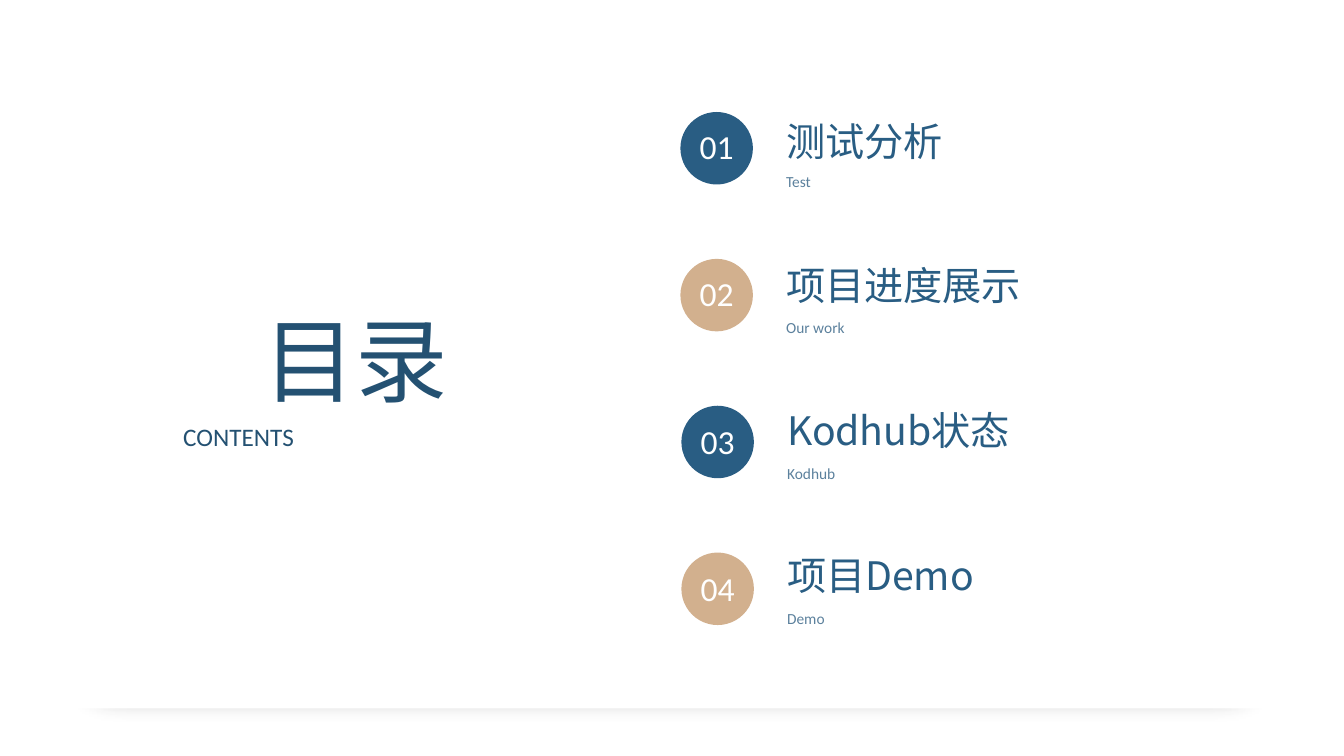
"""Build a contents slide with four numbered sections."""
from dataclasses import dataclass

from lxml import etree
from pptx import Presentation
from pptx import util as u
from pptx.dml.color import RGBColor
from pptx.enum import shapes, text
from pptx.oxml import ns
from pptx.shapes.autoshape import Shape
from pptx.slide import Slide

COLORS = {
    "shade": "262626",
    "white": "FFFFFF",
    "heading": "245172",
    "blue": "295D83",
    "tan": "D2B08E",
    "caption": "5C819D",
}
CJK = "Noto Sans CJK SC"
LATIN = "Calibri"


@dataclass(frozen=True)
class Frame:
    left: float
    top: float
    width: float
    height: float


@dataclass(frozen=True)
class Style:
    font: str
    size: float
    color: str
    align: text.PP_ALIGN = text.PP_ALIGN.LEFT
    spacing: float = 1.0


@dataclass(frozen=True)
class Section:
    title: str
    caption: str
    color: str
    shift: float = 0


HEADING = Style(CJK, 66, "heading", text.PP_ALIGN.CENTER)
SUBHEADING = Style(LATIN, 18, "heading", text.PP_ALIGN.JUSTIFY)
TITLE = Style(CJK, 28, "blue")
CAPTION = Style(LATIN, 11, "caption", spacing=1.2)
NUMBER = Style(LATIN, 24, "white", text.PP_ALIGN.CENTER)

SECTIONS = [
    Section("测试分析", "Test", "blue"),
    Section("项目进度展示", "Our work", "tan"),
    Section("Kodhub状态", "Kodhub", "blue", 0.7),
    Section("项目Demo", "Demo", "tan", 0.7),
]


def add_filled(page: Slide, kind: shapes.MSO_SHAPE, frame: Frame, color: str) -> Shape:
    shape = page.shapes.add_shape(
        kind, u.Pt(frame.left), u.Pt(frame.top), u.Pt(frame.width), u.Pt(frame.height)
    )
    shape.shadow.inherit = False
    shape.fill.solid()
    shape.fill.fore_color.rgb = RGBColor.from_string(COLORS[color])
    shape.line.fill.background()
    return shape


def soften_edge(shape: Shape, radius: float) -> None:
    effects = shape.element.spPr.find(ns.qn("a:effectLst"))
    etree.SubElement(effects, ns.qn("a:softEdge"), rad=str(u.Pt(radius)))


def add_text(page: Slide, words: str, frame: Frame, style: Style) -> None:
    box = page.shapes.add_textbox(
        u.Pt(frame.left), u.Pt(frame.top), u.Pt(frame.width), u.Pt(frame.height)
    )
    box.text_frame.word_wrap = True
    box.text_frame.auto_size = text.MSO_AUTO_SIZE.SHAPE_TO_FIT_TEXT
    para = box.text_frame.paragraphs[0]
    para.text = words
    para.alignment = style.align
    para.line_spacing = style.spacing
    span = para.runs[0]
    span.font.size = u.Pt(style.size)
    span.font.color.rgb = RGBColor.from_string(COLORS[style.color])
    span.font.name = style.font
    etree.SubElement(span.font._element, ns.qn("a:ea"), typeface=style.font)


def add_section(page: Slide, index: int, section: Section) -> None:
    shift = section.shift
    add_text(page, section.title, Frame(554.4 + shift, 80 + 103.4 * index, 270.7, 41), TITLE)
    add_text(page, section.caption, Frame(554.4 + shift, 116.8 + 104.1 * index, 360.7, 23), CAPTION)
    circle = Frame(486 + shift, 80 + 104.9 * index, 51.8, 51.8)
    add_filled(page, shapes.MSO_SHAPE.OVAL, circle, section.color)
    number = Frame(485.3 + shift, 86.6 + 105.1 * index, 53.3, 36)
    add_text(page, f"{index + 1:02}", number, NUMBER)


def main() -> None:
    deck = Presentation()
    deck.slide_width, deck.slide_height = u.Pt(960), u.Pt(540)
    page = deck.slides.add_slide(deck.slide_layouts[6])
    shade = add_filled(page, shapes.MSO_SHAPE.RECTANGLE, Frame(33, 84, 892, 441.5), "shade")
    soften_edge(shade, 25)
    add_filled(page, shapes.MSO_SHAPE.RECTANGLE, Frame(39, 34, 882, 472), "white")
    add_text(page, "目录", Frame(113.8, 213, 280.8, 87), HEADING)
    add_text(page, "CONTENTS", Frame(123.8, 297.4, 261.4, 29), SUBHEADING)
    for index, section in enumerate(SECTIONS):
        add_section(page, index, section)
    deck.save("out.pptx")


if __name__ == "__main__":
    main()
